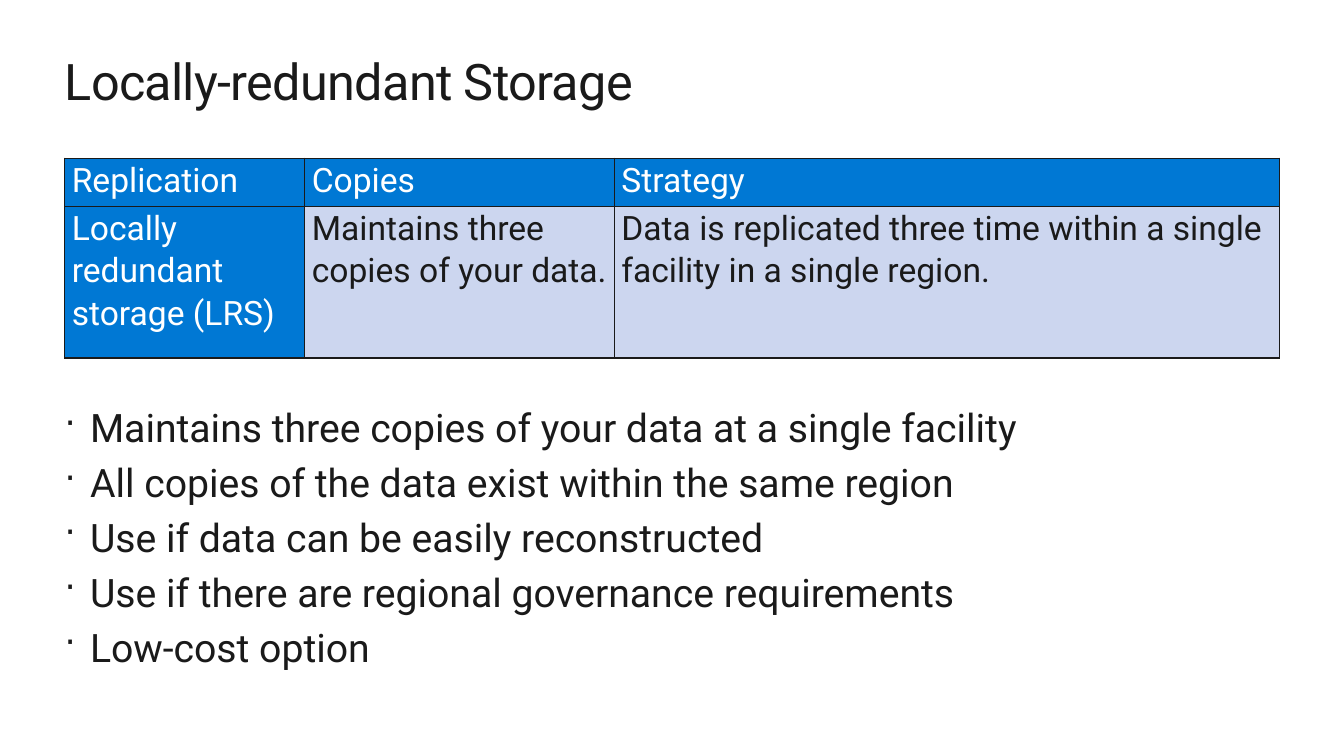
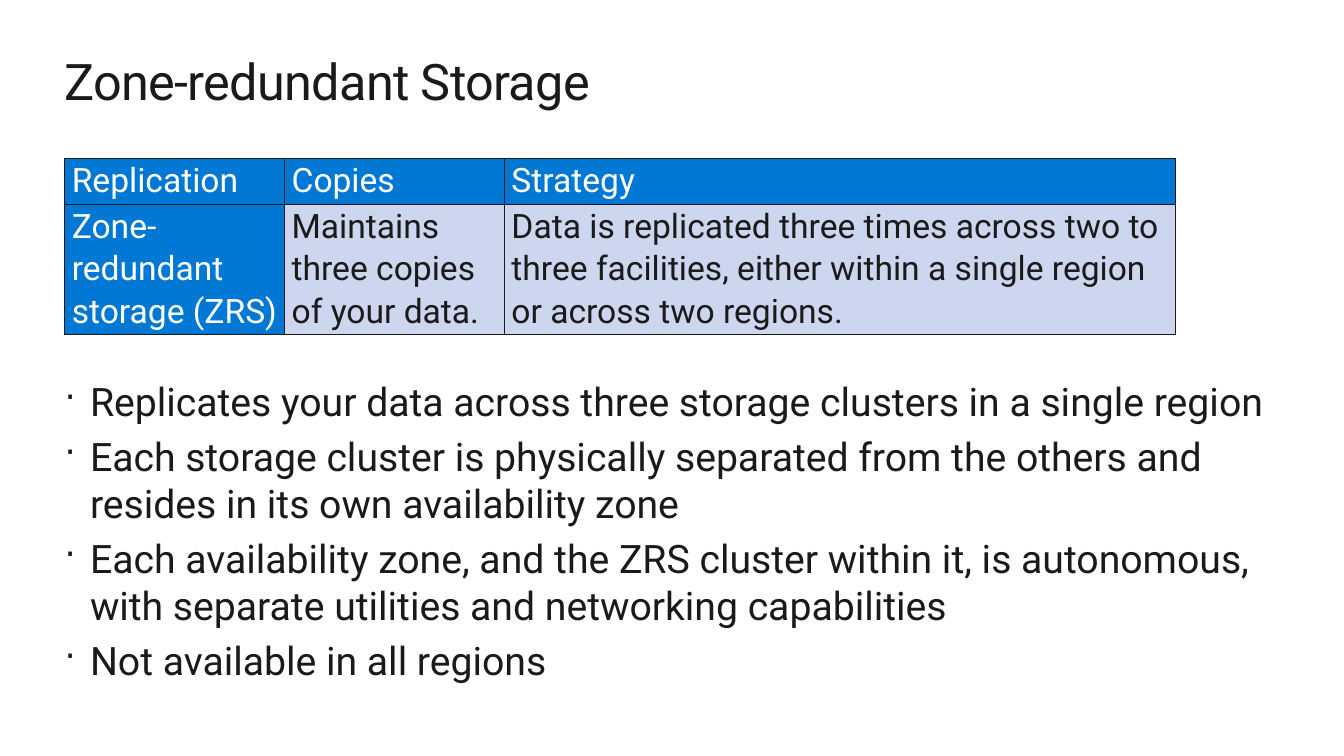
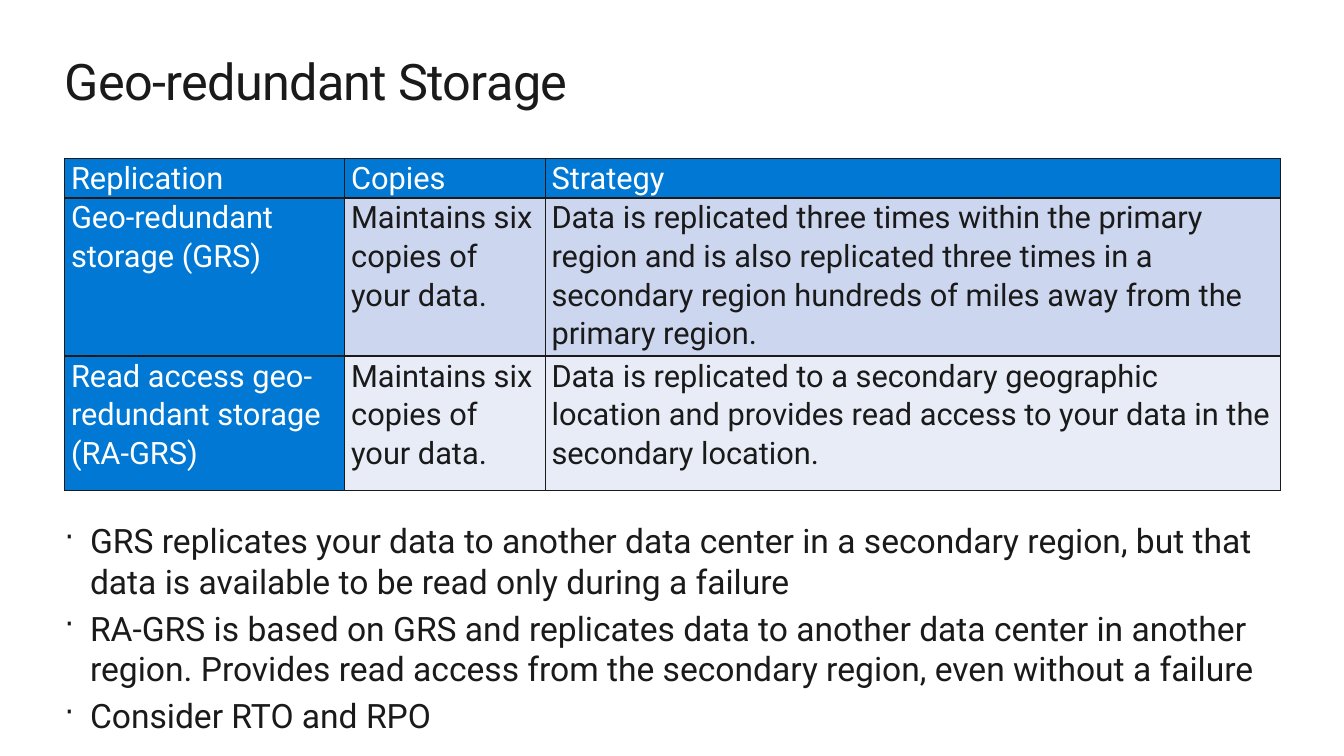
from dataclasses import dataclass

from lxml.etree import SubElement
from pptx import Presentation
from pptx.dml.color import RGBColor as Rgb
from pptx.enum.text import MSO_AUTO_SIZE as AutoSize
from pptx.oxml.ns import qn
from pptx.util import Cm, Pt


@dataclass(frozen=True)
class Theme:
    font: str = "Roboto"
    ink: str = "1A1A1A"
    header: str = "0078D4"
    header_ink: str = "FFFFFF"
    bands: tuple = ("CCD6EF", "E7ECF7")
    title_size: int = 36
    left: float = 1.63
    width: float = 30.6
    title_top: float = 1.27
    table_top: float = 3.99


THEME = Theme()
HEADINGS = ["Replication", "Copies", "Strategy"]
SLIDES = [
    {
        "title": "Locally-redundant Storage",
        "columns": [6.05, 7.8, 16.76], "rows": [1.22, 3.81],
        "table_size": 24, "cell_margin": 0.18,
        "strategies": [
            ["Locally redundant storage (LRS)",
             "Maintains three copies of your data.",
             "Data is replicated three time within a single facility in a single region."],
        ],
        "points_top": 10.16, "points_width": THEME.width, "points_height": 6.93, "points_size": 28,
        "points": [
            "Maintains three copies of your data at a single facility",
            "All copies of the data exist within the same region",
            "Use if data can be easily reconstructed",
            "Use if there are regional governance requirements",
            "Low-cost option",
        ],
    },
    {
        "title": "Zone-redundant Storage",
        "columns": [5.54, 5.54, 16.92], "rows": [1.17, 2.39],
        "table_size": 24, "cell_margin": 0.18,
        "strategies": [
            ["Zone-redundant storage (ZRS)",
             "Maintains three copies of your data.",
             "Data is replicated three times across two to three facilities, "
             "either within a single region or across two regions."],
        ],
        "points_top": 9.52, "points_width": THEME.width, "points_height": 7.9, "points_size": 28,
        "points": [
            "Replicates your data across three storage clusters in a single region",
            "Each storage cluster is physically separated from the others "
            "and resides in its own availability zone",
            "Each availability zone, and the ZRS cluster within it, is autonomous, "
            "with separate utilities and networking capabilities",
            "Not available in all regions",
        ],
    },
    {
        "title": "Geo-redundant Storage",
        "columns": [7.06, 5.05, 18.52], "rows": [0.79, 3.38, 3.38],
        "table_size": 22, "cell_margin": 0.16,
        "strategies": [
            ["Geo-redundant storage (GRS)",
             "Maintains six copies of your data.",
             "Data is replicated three times within the primary region and is also replicated "
             "three times in a secondary region hundreds of miles away from the primary region."],
            ["Read access geo-redundant storage (RA-GRS)",
             "Maintains six copies of your data.",
             "Data is replicated to a secondary geographic location and provides read access "
             "to your data in the secondary location."],
        ],
        "points_top": 13.11, "points_width": 31.45, "points_height": 5.54, "points_size": 24,
        "points": [
            "GRS replicates your data to another data center in a secondary region, "
            "but that data is available to be read only during a failure",
            "RA-GRS is based on GRS and replicates data to another data center in another region. "
            "Provides read access from the secondary region, even without a failure",
            "Consider RTO and RPO",
        ],
    },
]


def add_text(slide, top, width, height, lines, size):
    """Add a marginless text box, one paragraph a line, and return its paragraphs."""
    box = slide.shapes.add_textbox(Cm(THEME.left), Cm(top), Cm(width), Cm(height))
    frame = box.text_frame
    frame.word_wrap = True
    frame.auto_size = AutoSize.SHAPE_TO_FIT_TEXT
    frame.margin_left = frame.margin_top = frame.margin_right = frame.margin_bottom = 0
    frame.text = "\n".join(lines)
    for paragraph in frame.paragraphs:
        style_font(paragraph.runs[0].font, size, THEME.ink)
    return frame.paragraphs


def style_font(font, size, color):
    font.name = THEME.font
    font.size = Pt(size)
    font.color.rgb = Rgb.from_string(color)


prs = Presentation()
prs.slide_width, prs.slide_height = Cm(33.87), Cm(19.05)

for content in SLIDES:
    slide = prs.slides.add_slide(prs.slide_layouts[6])

    title = add_text(slide, THEME.title_top, THEME.width, 1.55, [content["title"]], THEME.title_size)[0]
    title.runs[0]._r.get_or_add_rPr().set("spc", "-50")

    points = add_text(slide, content["points_top"], content["points_width"],
                      content["points_height"], content["points"], content["points_size"])
    for point in points:
        point.space_before = Pt(content["points_size"] * 0.2)
        properties = point._p.get_or_add_pPr()
        properties.set("marL", str(Cm(0.64)))
        properties.set("indent", str(-Cm(0.64)))
        SubElement(properties, qn("a:buSzPct"), val="90000")
        SubElement(properties, qn("a:buChar"), char="·")

    cell_texts = [HEADINGS] + content["strategies"]
    table = slide.shapes.add_table(
        len(cell_texts), len(HEADINGS), Cm(THEME.left), Cm(THEME.table_top),
        Cm(sum(content["columns"])), Cm(sum(content["rows"]))).table
    table.first_row = table.horz_banding = False
    for column, width in zip(table.columns, content["columns"]):
        column.width = Cm(width)
    for row, height in zip(table.rows, content["rows"]):
        row.height = Cm(height)

    for r, texts in enumerate(cell_texts):
        for c, text in enumerate(texts):
            is_header = r == 0 or c == 0
            cell = table.cell(r, c)
            cell.margin_left = cell.margin_right = Cm(content["cell_margin"])
            cell.margin_top = cell.margin_bottom = 0
            for side in ("a:lnL", "a:lnR", "a:lnT", "a:lnB"):
                border = SubElement(cell._tc.get_or_add_tcPr(), qn(side), w=str(Pt(1)))
                SubElement(SubElement(border, qn("a:solidFill")), qn("a:srgbClr"), val=THEME.ink)
            cell.fill.solid()
            cell.fill.fore_color.rgb = Rgb.from_string(THEME.header if is_header else THEME.bands[r - 1])
            paragraph = cell.text_frame.paragraphs[0]
            paragraph.text = text
            paragraph.line_spacing = 1.07
            style_font(paragraph.runs[0].font, content["table_size"],
                       THEME.header_ink if is_header else THEME.ink)

prs.save("out.pptx")
